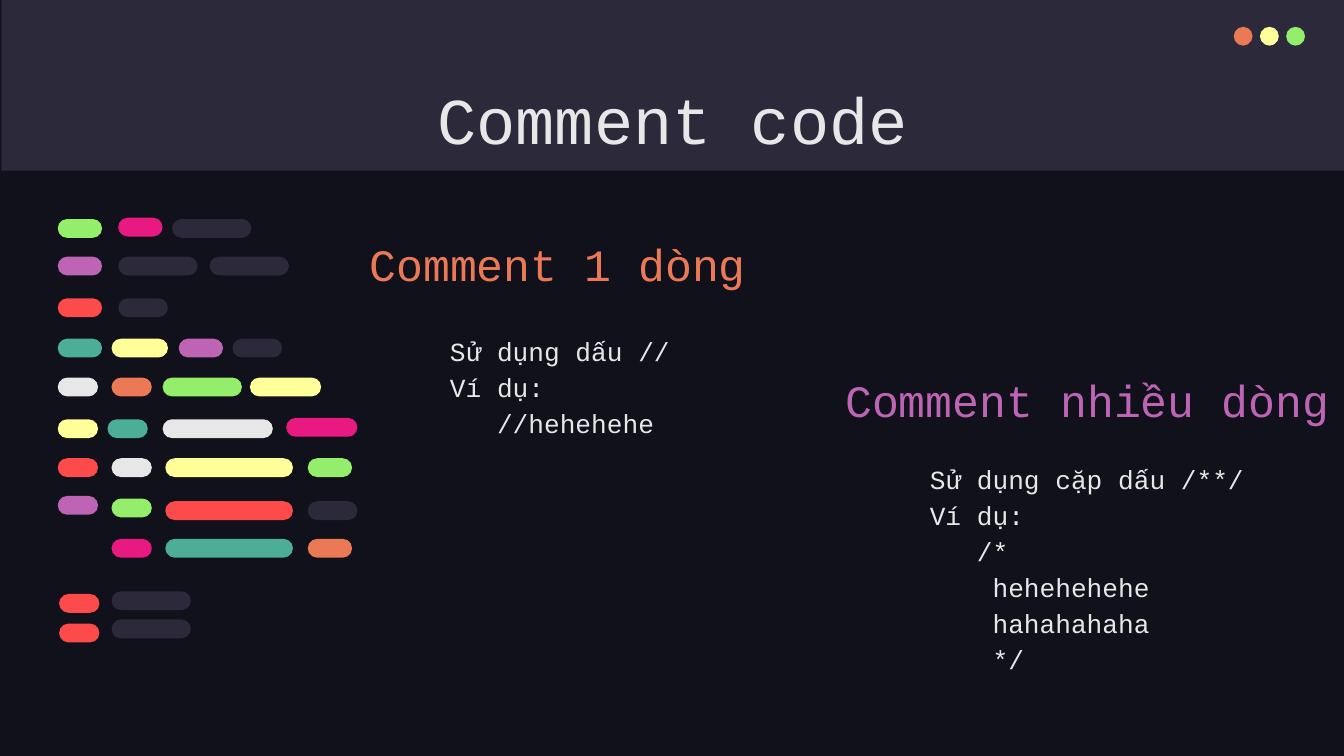
"""Build the "Comment code" slide with its editor-style bars and two comment sections."""
from pptx import Presentation
from pptx import util as u
from pptx.dml.color import RGBColor
from pptx.enum import shapes, text

NIGHT = RGBColor(0x10, 0x11, 0x1A)
SLATE = RGBColor(0x2C, 0x29, 0x3A)
WHITE = RGBColor(0xE7, 0xE7, 0xE7)
ORANGE = RGBColor(0xEC, 0x79, 0x55)
YELLOW = RGBColor(0xFF, 0xFF, 0x99)
GREEN = RGBColor(0x94, 0xEE, 0x6B)
PINK = RGBColor(0xE8, 0x1A, 0x81)
PURPLE = RGBColor(0xBD, 0x64, 0xB5)
RED = RGBColor(0xFD, 0x4A, 0x4A)
TEAL = RGBColor(0x4C, 0xAE, 0x97)

CELL = u.Inches(0.1)
COLUMNS, ROWS = 100, 56.25
DOT = 1.4

BAR_ROWS = [
    (16.2, [(8.8, 3.3, PINK)]),
    (16.3, [(4.3, 3.3, GREEN), (12.8, 5.9, SLATE)]),
    (19.1, [(4.3, 3.3, PURPLE), (8.8, 5.9, SLATE), (15.6, 5.9, SLATE)]),
    (22.2, [(4.3, 3.3, RED), (8.8, 3.7, SLATE)]),
    (25.2, [(4.3, 3.3, TEAL), (8.3, 4.2, YELLOW), (13.3, 3.3, PURPLE), (17.3, 3.7, SLATE)]),
    (28.1, [(4.3, 3, WHITE), (8.3, 3, ORANGE), (12.1, 5.9, GREEN), (18.6, 5.3, YELLOW)]),
    (31.1, [(21.3, 5.3, PINK)]),
    (31.2, [(4.3, 3, YELLOW), (8, 3, TEAL), (12.1, 8.2, WHITE)]),
    (34.1, [(4.3, 3, RED), (8.3, 3, WHITE), (12.3, 9.5, YELLOW), (22.9, 3.3, GREEN)]),
    (36.9, [(4.3, 3, PURPLE)]),
    (37.1, [(8.3, 3, GREEN)]),
    (37.3, [(12.3, 9.5, RED), (22.9, 3.7, SLATE)]),
    (40.1, [(8.3, 3, PINK), (12.3, 9.5, TEAL), (22.9, 3.3, ORANGE)]),
    (44, [(8.3, 5.9, SLATE)]),
    (44.2, [(4.4, 3, RED)]),
    (46.1, [(8.3, 5.9, SLATE)]),
    (46.4, [(4.4, 3, RED)]),
]

ONE_LINE = ["Sử dụng dấu //", "Ví dụ:", "   //hehehehe"]
MANY_LINES = ["Sử dụng cặp dấu /**/", "Ví dụ:", "   /*",
              "    hehehehehe", "    hahahahaha", "    */"]


class Deck:
    """Hold the style and the current slide."""

    font = "Courier New"
    body_size, heading_size, title_size = 14, 24, 35

    def __init__(self):
        self.presentation = Presentation()
        self.presentation.slide_width = int(COLUMNS * CELL)
        self.presentation.slide_height = int(ROWS * CELL)
        self.slide = self.presentation.slides.add_slide(self.presentation.slide_layouts[5])
        self.slide.background.fill.solid()
        self.slide.background.fill.fore_color.rgb = NIGHT

    def cells(self, *lengths):
        """Turn grid cells into slide lengths."""
        return [int(length * CELL) for length in lengths]

    def block(self, parent, kind, area, colour):
        """Add a plain filled shape to the slide or a group."""
        block = parent.add_shape(kind, *self.cells(*area))
        block.shadow.inherit = False
        block.fill.solid()
        block.fill.fore_color.rgb = colour
        block.line.fill.background()
        return block

    def group(self):
        """Start a group and return its shapes."""
        return self.slide.shapes.add_group_shape().shapes

    def set_lines(self, holder, lines, size, colour, anchor, align, spacing):
        """Fill a text holder, one paragraph a line."""
        frame = holder.text_frame
        frame.word_wrap = True
        frame.auto_size = text.MSO_AUTO_SIZE.NONE
        frame.vertical_anchor = anchor
        frame.margin_left = frame.margin_right = CELL
        frame.margin_top = frame.margin_bottom = CELL
        for index, line in enumerate(lines):
            paragraph = frame.add_paragraph() if index else frame.paragraphs[0]
            paragraph.alignment = align
            paragraph.line_spacing = spacing
            run = paragraph.add_run()
            run.text = line
            run.font.name = self.font
            run.font.size = u.Pt(size)
            run.font.color.rgb = colour

    def title(self, area, wording):
        """Place the title placeholder in front of what is already there."""
        title = self.slide.shapes.title
        title.left, title.top, title.width, title.height = self.cells(*area)
        self.slide.shapes[-1].element.addnext(title.element)
        self.set_lines(title, [wording], self.title_size, WHITE,
                       text.MSO_ANCHOR.TOP, text.PP_ALIGN.CENTER, 1.0)

    def label(self, area, lines, size, colour, anchor=text.MSO_ANCHOR.TOP):
        """Add a left-aligned text box."""
        box = self.slide.shapes.add_textbox(*self.cells(*area))
        self.set_lines(box, lines, size, colour, anchor, text.PP_ALIGN.LEFT, 1.15)

    def heading(self, area, wording, colour):
        """Add a section heading that sits on the bottom of its box."""
        self.label(area, [wording], self.heading_size, colour, text.MSO_ANCHOR.BOTTOM)

    def bar(self, parent, area, colour):
        """Add a fully rounded bar."""
        self.block(parent, shapes.MSO_SHAPE.ROUNDED_RECTANGLE, area, colour).adjustments[0] = 0.5


def main():
    deck = Deck()
    deck.block(deck.slide.shapes, shapes.MSO_SHAPE.RECTANGLE, (0.1, 0, COLUMNS, 12.7), SLATE)
    window_dots = deck.group()
    for index, colour in enumerate((ORANGE, YELLOW, GREEN)):
        deck.block(window_dots, shapes.MSO_SHAPE.OVAL, (91.8 + 1.95 * index, 2, DOT, DOT), colour)
    deck.title((7.9, 4.9, 84.3, 6.3), "Comment code")

    deck.label((32.5, 23.6, 21.6, 9.1), ONE_LINE, deck.body_size, WHITE)
    deck.label((68.2, 33.1, 26.3, 9.1), MANY_LINES, deck.body_size, WHITE)
    deck.heading((26.5, 17.1, 31, 5.5), "Comment 1 dòng", ORANGE)
    deck.heading((61.9, 27.2, 38.1, 5.5), "Comment nhiều dòng", PURPLE)

    code_bars = deck.group()
    for top, bars in BAR_ROWS:
        for left, width, colour in bars:
            deck.bar(code_bars, (left, top, width, DOT), colour)

    deck.presentation.save("out.pptx")


if __name__ == "__main__":
    main()
